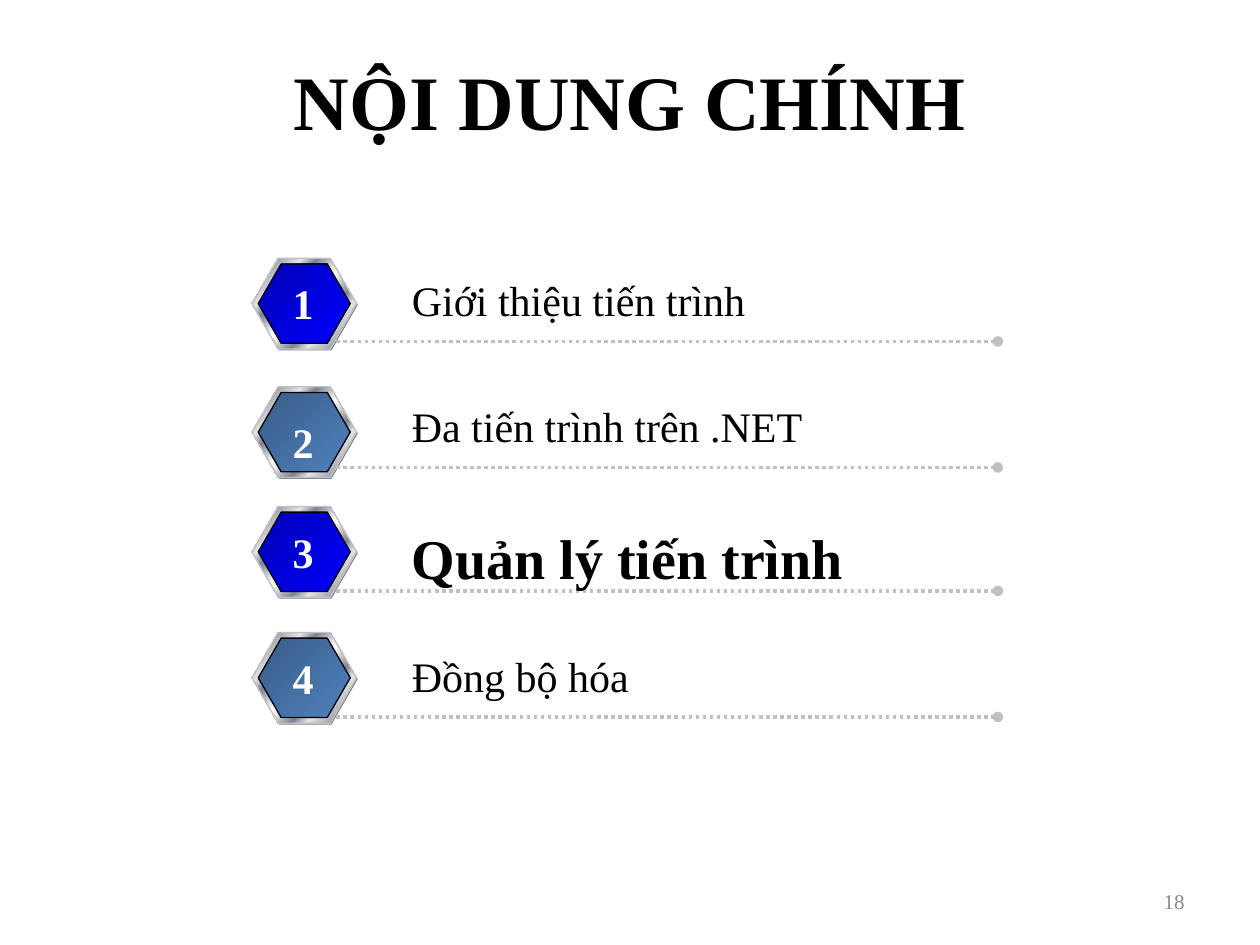
from lxml import etree
from pptx import Presentation
from pptx.dml.color import RGBColor
from pptx.enum import dml, shapes, text
from pptx.oxml.ns import qn
from pptx import util as u

BLACK = RGBColor(0x00, 0x00, 0x00)
WHITE = RGBColor(0xFF, 0xFF, 0xFF)
SILVER = RGBColor(0xC0, 0xC0, 0xC0)
SHADE = RGBColor(0x80, 0x80, 0x80)
PAGE_GRAY = RGBColor(0x89, 0x89, 0x89)
LIGHT = RGBColor(0xE6, 0xE6, 0xE6)
STEEL = RGBColor(0x7D, 0x84, 0x96)

CHROME = [(0, LIGHT), (8, STEEL), (26, LIGHT), (34, STEEL), (46, LIGHT), (50, WHITE),
          (54, LIGHT), (66, STEEL), (74, LIGHT), (92, STEEL), (100, LIGHT)]
BLUE = [(0, RGBColor(0x00, 0x00, 0xB6)), (100, RGBColor(0x00, 0x00, 0xFF))]
SLATE = [(0, RGBColor(0x39, 0x5C, 0x87)), (100, RGBColor(0x4F, 0x81, 0xBD))]

COLS, ROWS = 100, 75
LEFT, CENTER, RIGHT = text.PP_ALIGN.LEFT, text.PP_ALIGN.CENTER, text.PP_ALIGN.RIGHT


class Deck:
    """Style and current slide; all lengths are grid columns and rows."""
    font = "Times New Roman"

    def __init__(self):
        self.prs = Presentation()
        self.prs.slide_width, self.prs.slide_height = u.Inches(10), u.Inches(7.5)
        self.slide = self.prs.slides.add_slide(self.prs.slide_layouts[5])

    def box(self, x, y, w, h):
        dx, dy = self.prs.slide_width / COLS, self.prs.slide_height / ROWS
        return [u.Emu(round(n)) for n in (x * dx, y * dy, w * dx, h * dy)]

    def set_text(self, tf, words, size, color, bold, align):
        p = tf.paragraphs[0]
        p.text, p.alignment = words, align
        f = p.font
        f.name, f.size, f.bold = self.font, u.Pt(size), bold
        f.color.rgb = color

    def title(self, words, *area):
        sp = self.slide.shapes.title
        sp.left, sp.top, sp.width, sp.height = self.box(*area)
        sp.text_frame.vertical_anchor = text.MSO_ANCHOR.MIDDLE
        self.set_text(sp.text_frame, words, 44, BLACK, True, CENTER)

    def label(self, words, area, size=24, color=BLACK, bold=False, align=LEFT):
        tf = self.slide.shapes.add_textbox(*self.box(*area)).text_frame
        tf.word_wrap = False
        tf.auto_size = text.MSO_AUTO_SIZE.SHAPE_TO_FIT_TEXT
        self.set_text(tf, words, size, color, bold, align)

    def page_number(self, words, *area):
        tf = self.slide.shapes.add_textbox(*self.box(*area)).text_frame
        tf.word_wrap = True
        tf.vertical_anchor = text.MSO_ANCHOR.MIDDLE
        self.set_text(tf, words, 12, PAGE_GRAY, False, RIGHT)

    def gradient(self, sp, stops):
        sp.fill.background()
        grad = etree.Element(qn("a:gradFill"), rotWithShape="1")
        stop_list = etree.SubElement(grad, qn("a:gsLst"))
        for share, color in stops:
            gs = etree.SubElement(stop_list, qn("a:gs"), pos=str(share * 1000))
            etree.SubElement(gs, qn("a:srgbClr"), val=str(color))
        etree.SubElement(grad, qn("a:lin"), ang=str(45 * 60000), scaled="1")
        spPr = sp.element.spPr
        spPr.replace(spPr.find(qn("a:noFill")), grad)

    def hexagon(self, group, area, fill, line=None):
        sp = group.shapes.add_shape(shapes.MSO_SHAPE.HEXAGON, *self.box(*area))
        sp.adjustments[0], sp.adjustments[1] = 0.289, 1.155
        sp.shadow.inherit = False
        if isinstance(fill, list):
            self.gradient(sp, fill)
        else:
            sp.fill.solid()
            sp.fill.fore_color.rgb = fill
        if line is None:
            sp.line.fill.background()
        else:
            sp.line.color.rgb, sp.line.width = line, u.Pt(0.75)

    def badge(self, x, y, face):
        group = self.slide.shapes.add_group_shape()
        self.hexagon(group, (x + 0.1, y + 0.1, 8.3, 7.2), SHADE)
        self.hexagon(group, (x, y, 8.3, 7.2), CHROME, SILVER)
        self.hexagon(group, (x + 0.5, y + 0.45, 7.3, 6.3), face, BLACK)

    def dotted_line(self, x, y, w):
        left, top, width, _ = self.box(x, y, w, 0)
        ln = self.slide.shapes.add_connector(
            shapes.MSO_CONNECTOR.STRAIGHT, left, top, left + width, top)
        ln.line.color.rgb, ln.line.width = SILVER, u.Pt(2)
        ln.line.dash_style = dml.MSO_LINE.ROUND_DOT
        spPr = ln.element.spPr
        etree.SubElement(spPr.find(qn("a:ln")), qn("a:tailEnd"), type="oval")
        etree.SubElement(spPr, qn("a:effectLst"))


# Topic, text width, size, badge top, line row, number top
TOPICS = [
    ("Giới thiệu tiến trình", 28.7, 24, 20.5, 27.1, 21.5),
    ("Đa tiến trình trên .NET", 33.3, 24, 30.7, 37.1, 32.6),
    ("Quản lý tiến trình", 36.5, 32, 40.2, 46.9, 41.3),
    ("Đồng bộ hóa", 19.4, 24, 50.2, 56.9, 51.3),
]
CURRENT = 3


def main():
    deck = Deck()
    deck.title("NỘI DUNG CHÍNH", 5, 1.7, 90, 12.5)

    # Agenda rows, the current topic emphasised
    for n, (topic, width, size, badge_y, line_y, number_y) in enumerate(TOPICS, 1):
        deck.badge(20, badge_y, BLUE if n % 2 else SLATE)
        deck.dotted_line(26.7, line_y, 52.5)
        height = 6.4 if n == CURRENT else 5.1
        deck.label(topic, (31.7, line_y - 5.8, width, height), size, bold=n == CURRENT)
        deck.label(str(n), (22.2, number_y, 3.7, 5.1), color=WHITE, bold=True, align=CENTER)

    # Footer
    deck.page_number("18", 71.7, 69.5, 23.3, 4)
    deck.prs.save("out.pptx")


if __name__ == "__main__":
    main()
